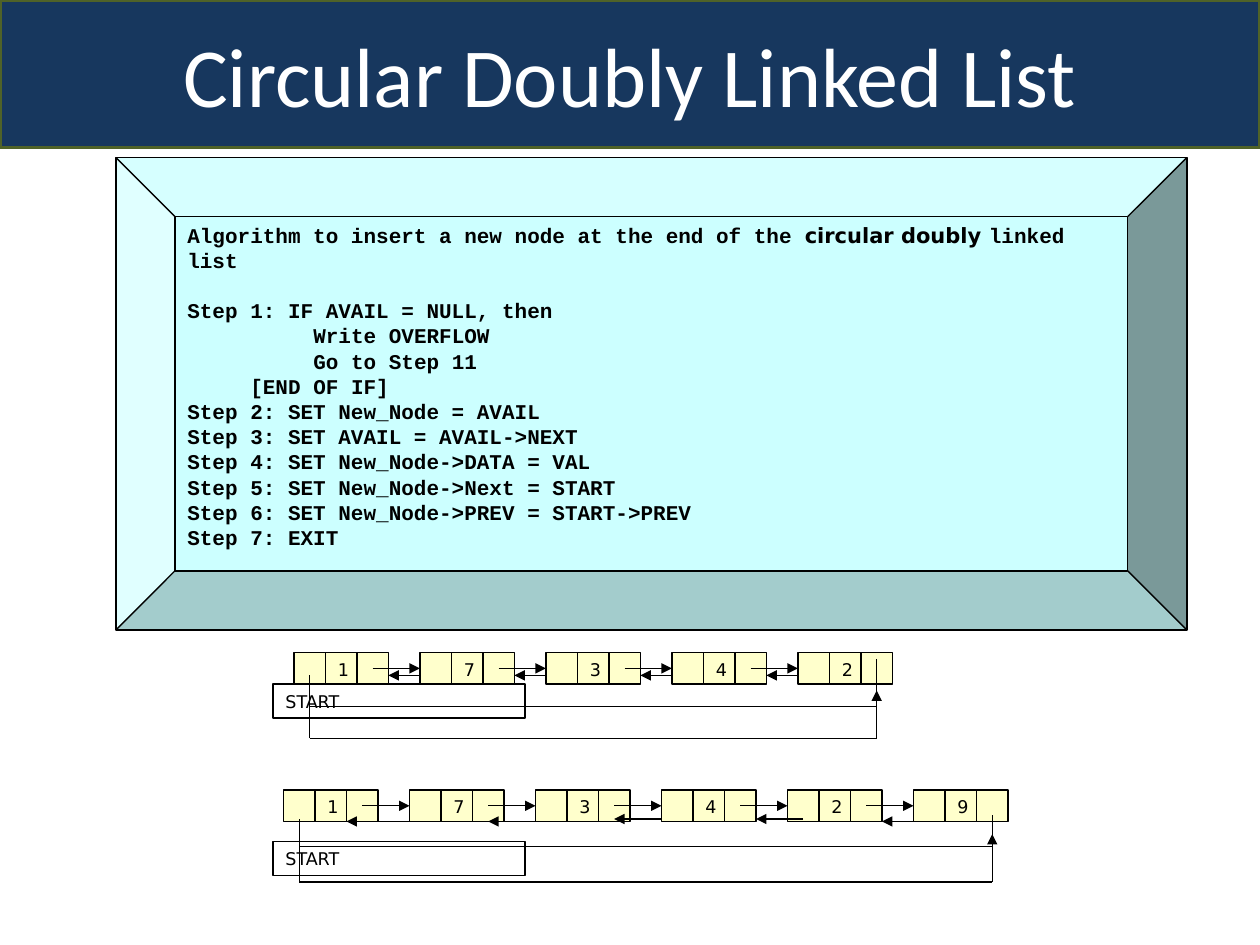
from lxml import etree
from pptx import Presentation
from pptx.dml.color import RGBColor
from pptx.enum.shapes import MSO_CONNECTOR, MSO_SHAPE
from pptx.enum.text import MSO_ANCHOR, MSO_AUTO_SIZE, PP_ALIGN
from pptx.oxml.ns import qn
from pptx.util import Inches, Pt

RECT, BEVEL = MSO_SHAPE.RECTANGLE, MSO_SHAPE.BEVEL
STRAIGHT = MSO_CONNECTOR.STRAIGHT
TOP, MIDDLE = MSO_ANCHOR.TOP, MSO_ANCHOR.MIDDLE
LEFT, CENTER = PP_ALIGN.LEFT, PP_ALIGN.CENTER
GROW, FIXED = MSO_AUTO_SIZE.SHAPE_TO_FIT_TEXT, MSO_AUTO_SIZE.NONE
TITLE_ONLY = 5
COLUMNS, ROWS = 40, 30
NODE_STEP = 4

ALGORITHM = [
    [("Algorithm to insert a new node at the end of the ", "Courier New"),
     ("circular doubly ", "DejaVu Sans"),
     ("linked list", "Courier New")],
    "Step 1: IF AVAIL = NULL, then",
    "\t\tWrite OVERFLOW",
    "\t\tGo to Step 11",
    "\t[END OF IF]",
    "Step 2: SET New_Node = AVAIL",
    "Step 3: SET AVAIL = AVAIL->NEXT",
    "Step 4: SET New_Node->DATA = VAL",
    "Step 5: SET New_Node->Next = START",
    "Step 6: SET New_Node->PREV = START->PREV",
    "Step 7: EXIT",
]

LISTS = [
    dict(column=9.33, row=20.72, values="17342",
         back_links=[(4, 3, 0.72)] * 4,
         loop=dict(start=0.2, inner=1.72, left=0.72, outer=2.72, tip=1.2)),
    dict(column=9, row=25.08, values="173429",
         back_links=[(4.5, 2, 1), (4, 2.5, 1), (4, 2.5, 0.92),
                     (4.5, 3, 0.92), (4, 3, 1)],
         loop=dict(start=0.8, inner=1.8, left=0.92, outer=2.92, tip=1.4)),
]
START_ROWS = [26.72, 21.72]


def colour(value):
    return RGBColor.from_string(value)


def apply(target, **values):
    for name, value in values.items():
        setattr(target, name, value)


class ListSlide:
    ink = "000000"
    cell_fill = "FFFFCC"
    panel_fill = "CCFFFF"
    label_font = dict(name="DejaVu Sans", size=Pt(10))
    code_font = dict(size=Pt(12), bold=True)

    def __init__(self, deck):
        self.page = deck.slides.add_slide(deck.slide_layouts[TITLE_ONLY])
        self.shapes = self.page.shapes
        self.column_width = deck.slide_width / COLUMNS
        self.row_height = deck.slide_height / ROWS

    def x(self, column):
        return round(column * self.column_width)

    def y(self, row):
        return round(row * self.row_height)

    def paint(self, shape, fill=None, line=ink, width=0.75):
        if fill:
            shape.fill.solid()
            shape.fill.fore_color.rgb = colour(fill)
        else:
            shape.fill.background()
        shape.line.color.rgb = colour(line)
        shape.line.width = Pt(width)

    def add_span(self, para, text, color=ink, **font):
        span = para.add_run()
        span.text = text
        apply(span.font, **font)
        span.font.color.rgb = colour(color)

    def title(self, text, height):
        box = self.page.shapes.title
        apply(box, left=0, top=0, width=self.x(COLUMNS), height=self.y(height))
        self.paint(box, "17375E", "4F6228", 2)
        apply(box.text_frame, vertical_anchor=MIDDLE, auto_size=FIXED)
        para = box.text_frame.paragraphs[0]
        para.alignment = CENTER
        self.add_span(para, text, "FFFFFF", name="Calibri", size=Pt(48))

    def box(self, column, row, width, height, kind=RECT, fill=None,
            text="", **frame):
        shape = self.shapes.add_shape(
            kind, self.x(column), self.y(row), self.x(width), self.y(height))
        shape.shadow.inherit = False
        self.paint(shape, fill)
        settings = dict(word_wrap=True, vertical_anchor=TOP) | frame
        apply(shape.text_frame, **settings)
        para = shape.text_frame.paragraphs[0]
        para.alignment = LEFT
        if text:
            self.add_span(para, text, **self.label_font)
        return shape

    def panel(self, lines, *place):
        shape = self.box(*place, kind=BEVEL, fill=self.panel_fill)
        shape.adjustments[0] = 0.125
        frame = shape.text_frame
        for index, line in enumerate(lines):
            para = frame.add_paragraph() if index else frame.paragraphs[0]
            para.alignment = LEFT
            if index == 1:
                para.space_before = Pt(14)
            spans = [(line, "Courier New")] if isinstance(line, str) else line
            for text, name in spans:
                self.add_span(para, text, name=name, **self.code_font)

    def line(self, start, end, arrow=False):
        (x1, y1), (x2, y2) = start, end
        link = self.shapes.add_connector(
            STRAIGHT, self.x(x1), self.y(y1), self.x(x2), self.y(y2))
        link.line.color.rgb = colour(self.ink)
        link.line.width = Pt(0.75)
        properties = link._element.spPr
        if arrow:
            outline = properties.find(qn("a:ln"))
            etree.SubElement(outline, qn("a:tailEnd"), type="triangle")
        etree.SubElement(properties, qn("a:effectLst"))

    def linked_list(self, column, row, values, back_links, loop):
        self.shapes = self.page.shapes.add_group_shape().shapes
        nodes = [column + NODE_STEP * index for index in range(len(values))]
        for node, value in zip(nodes, values):
            for offset, text in enumerate(["", value, ""]):
                self.box(node + offset, row, 1, 1,
                         fill=self.cell_fill, text=text)
        for node, (begin, tip, drop) in zip(nodes, back_links):
            self.line((node + 2.5, row + 0.5),
                      (node + NODE_STEP, row + 0.5), arrow=True)
            self.line((node + begin, row + drop),
                      (node + tip, row + drop), arrow=True)
        first, last = column + 0.5, nodes[-1] + 2.5
        level = {name: row + drop for name, drop in loop.items()}
        self.line((last, level["start"]), (last, level["inner"]))
        self.line((last, level["inner"]), (first, level["inner"]))
        self.line((first, level["left"]), (first, level["outer"]))
        self.line((first, level["outer"]), (last, level["outer"]))
        self.line((last, level["outer"]), (last, level["tip"]), arrow=True)
        self.shapes = self.page.shapes


def main():
    deck = Presentation()
    apply(deck, slide_width=Inches(10), slide_height=Inches(7.5))
    slide = ListSlide(deck)
    slide.title("Circular Doubly Linked List", 4.68)
    slide.panel(ALGORITHM, 3.68, 5, 34, 15)
    for chain in LISTS:
        slide.linked_list(**chain)
    for row in START_ROWS:
        slide.box(8.67, row, 8, 1.08, text="START",
                  vertical_anchor=MIDDLE, auto_size=GROW)
    deck.save("out.pptx")


if __name__ == "__main__":
    main()
